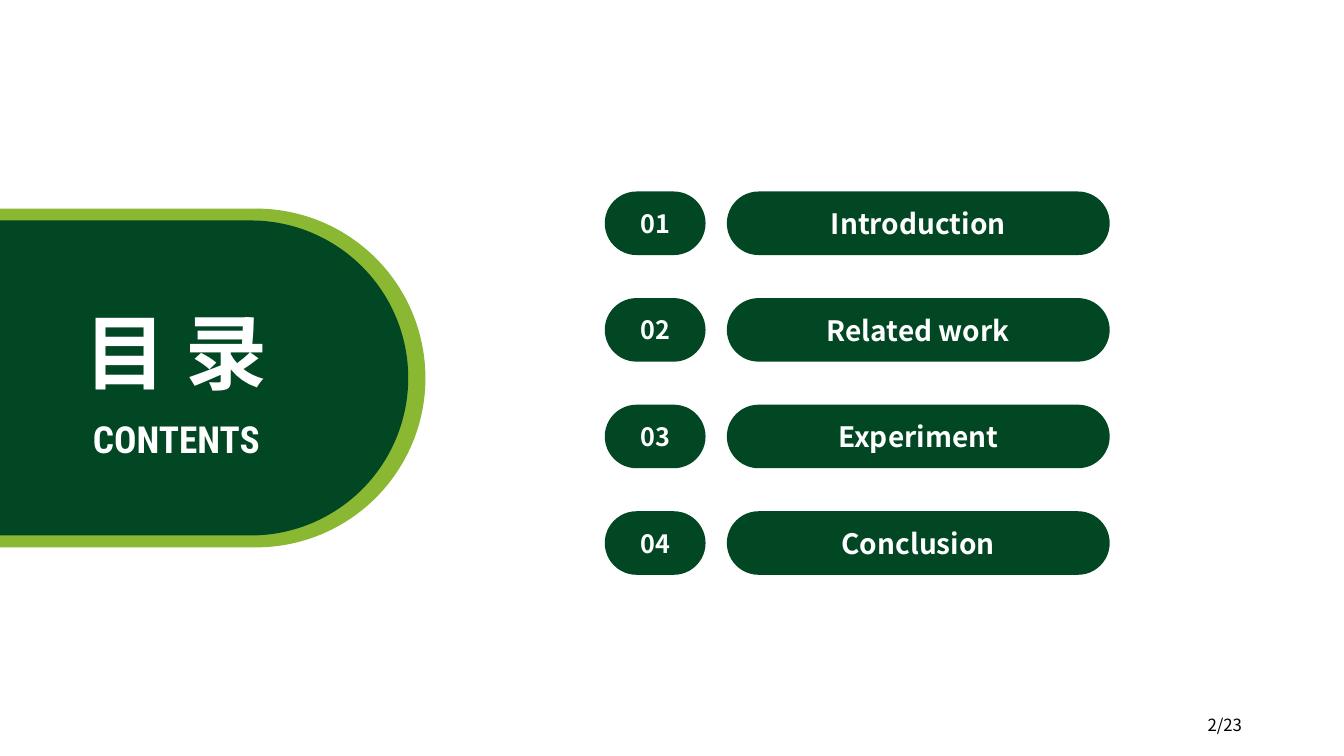
import pptx
import pptx.dml.color
import pptx.enum.shapes
import pptx.enum.text
import pptx.oxml.ns
import pptx.util
from lxml import etree

Pt = pptx.util.Pt
PP_ALIGN = pptx.enum.text.PP_ALIGN
SANS = "Noto Sans CJK SC"
COLORS = {"dark": "014723", "lime": "8AB833", "white": "FFFFFF", "black": "000000"}
FORMATS = {
    "title": {"size": Pt(58.6), "name": SANS, "bold": True},
    "subtitle": {"size": Pt(26.6), "name": "Roboto Condensed", "bold": True},
    "number": {"size": Pt(18), "name": SANS, "bold": True},
    "topic": {"size": Pt(20), "name": SANS, "bold": True},
    "page": {"size": Pt(12), "name": SANS, "bold": False},
}
TOPICS = ["Introduction", "Related work", "Experiment", "Conclusion"]


def rgb(name):
    return pptx.dml.color.RGBColor.from_string(COLORS[name])


def place(sp, x, y, w, h):
    for key, value in {"left": x, "top": y, "width": w, "height": h}.items():
        setattr(sp, key, Pt(value))


def write(sp, text, style, color="white", align=PP_ALIGN.CENTER, wrap=True):
    tf = sp.text_frame
    frame = {
        "auto_size": pptx.enum.text.MSO_AUTO_SIZE.NONE,
        "word_wrap": wrap,
        "vertical_anchor": pptx.enum.text.MSO_ANCHOR.MIDDLE,
    }
    for key, value in frame.items():
        setattr(tf, key, value)
    p = tf.paragraphs[0]
    p.alignment = align
    r = p.add_run()
    r.text = text
    for key, value in FORMATS[style].items():
        setattr(r.font, key, value)
    r.font.color.rgb = rgb(color)
    ea = etree.SubElement(r.font._element, pptx.oxml.ns.qn("a:ea"))
    ea.set("typeface", FORMATS[style]["name"])


def add_pill(s, x, y, w, h, color):
    shape = pptx.enum.shapes.MSO_SHAPE.ROUNDED_RECTANGLE
    sp = s.shapes.add_shape(shape, Pt(x), Pt(y), Pt(w), Pt(h))
    sp.adjustments[0] = 0.5
    sp.shadow.inherit = False
    sp.fill.solid()
    sp.fill.fore_color.rgb = rgb(color)
    sp.line.fill.background()
    return sp


def add_text(s, x, y, w, h, text, style, **options):
    sp = s.shapes.add_textbox(Pt(x), Pt(y), Pt(w), Pt(h))
    write(sp, text, style, **options)


def add_banner(s, x, y, w, h):
    add_pill(s, x, y, w, h, "lime")
    add_pill(s, x + 18.7, y + 8.5, w - 31, h - 17, "dark")
    add_text(s, x + 186.5, y + 144.6, 161.3, 39.8, "CONTENTS", "subtitle", wrap=False)
    title = s.shapes.title
    s.shapes._spTree.append(title._element)
    place(title, x + 192.2, y + 62, 149, 78.5)
    write(title, "目 录", "title", wrap=False)


def add_topics(s, x, y, w, h):
    pill_h, number_w, gap = 45.4, 72, 15.2
    pitch = (h - pill_h) / (len(TOPICS) - 1)
    for i, topic in enumerate(TOPICS):
        top = y + i * pitch
        number = add_pill(s, x, top, number_w, pill_h, "dark")
        write(number, f"{i + 1:02}", "number")
        label_x = number_w + gap
        label = add_pill(s, x + label_x, top, w - label_x, pill_h, "dark")
        write(label, topic, "topic")


def add_page_number(s, x, y, w, h):
    add_text(s, x, y, w, h, "2/23", "page", color="black", align=PP_ALIGN.RIGHT)


def main():
    prs = pptx.Presentation()
    prs.slide_width, prs.slide_height = Pt(960), Pt(540)
    s = prs.slides.add_slide(prs.slide_layouts[5])
    add_page_number(s, 672.5, 506.9, 221.8, 21.6)
    add_banner(s, -141.1, 149, 445, 242)
    add_topics(s, 432, 136.8, 360.7, 273.8)
    prs.save("out.pptx")


if __name__ == "__main__":
    main()
